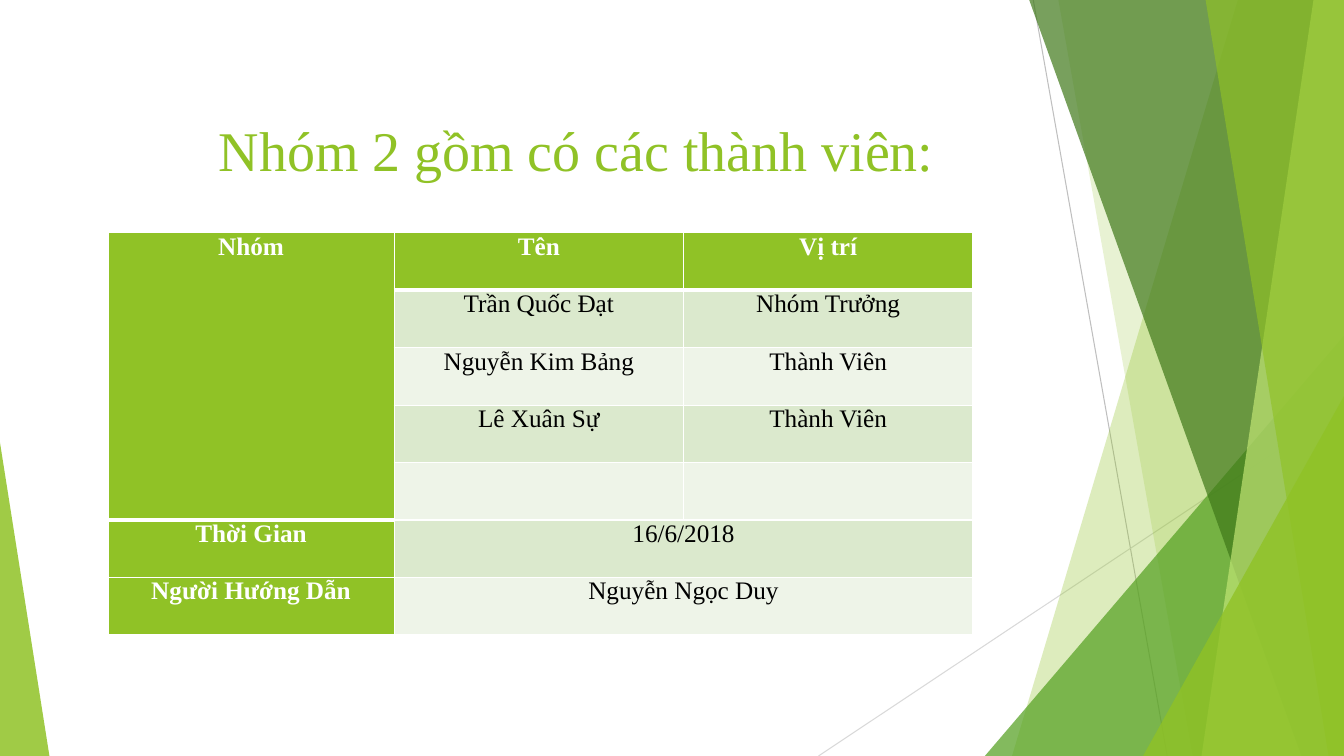
import dataclasses
import typing

import pptx
import pptx.dml.color
import pptx.enum.shapes
import pptx.enum.text
import pptx.oxml.ns
import pptx.util
from lxml import etree

RGB = pptx.dml.color.RGBColor
LIME = RGB(0x90, 0xC2, 0x26)
GREEN = RGB(0x54, 0xA0, 0x21)
FOREST = RGB(0x3F, 0x78, 0x19)
PALE_LIME = RGB(0xC0, 0xE4, 0x74)
ROW_DARK = RGB(0xDB, 0xE9, 0xCD)
ROW_LIGHT = RGB(0xEE, 0xF4, 0xE8)
GREY = RGB(0xBF, 0xBF, 0xBF)
LIGHT_GREY = RGB(0xD9, 0xD9, 0xD9)
WHITE = RGB(0xFF, 0xFF, 0xFF)
BLACK = RGB(0, 0, 0)
FONT = "Times New Roman"
SLIDE_WIDTH = pptx.util.Inches(13.33)
SLIDE_HEIGHT = pptx.util.Inches(7.5)
qn = pptx.oxml.ns.qn


@dataclasses.dataclass
class Ray:
    start: tuple[float, float]
    end: tuple[float, float]
    color: RGB


@dataclasses.dataclass
class Band:
    top_edge: float
    bottom_edge: float
    color: RGB
    opacity: int


@dataclasses.dataclass
class Wedge:
    left: float
    right: float
    top: float
    apex: float
    color: RGB
    opacity: int


@dataclasses.dataclass
class Entry:
    row: int
    column: int
    text: str
    rows: int = 1
    columns: int = 1


RAYS = [
    Ray((76.88, 0), (86.85, 100), GREY),
    Ray((100, 53.73), (60.9, 100), LIGHT_GREY),
]
FACETS = [
    Band(92.1, 75.3, LIME, 30),
    Band(78.75, 88.73, LIME, 20),
    Wedge(73.28, 100, 44.4, 1, GREEN, 72),
    Band(76.58, 96.83, FOREST, 70),
    Band(97.73, 89.4, PALE_LIME, 70),
    Band(89.7, 98.85, LIME, 65),
    Wedge(85.05, 100, 52.4, 1, LIME, 80),
    Wedge(0, 3.68, 58.53, 0, LIME, 85),
]
ENTRIES = [
    Entry(0, 0, "Nhóm", rows=5),
    Entry(0, 1, "Tên"),
    Entry(0, 2, "Vị trí"),
    Entry(1, 1, "Trần Quốc Đạt"),
    Entry(1, 2, "Nhóm Trưởng"),
    Entry(2, 1, "Nguyễn Kim Bảng"),
    Entry(2, 2, "Thành Viên"),
    Entry(3, 1, "Lê Xuân Sự"),
    Entry(3, 2, "Thành Viên"),
    Entry(5, 0, "Thời Gian"),
    Entry(5, 1, "16/6/2018", columns=2),
    Entry(6, 0, "Người Hướng Dẫn"),
    Entry(6, 1, "Nguyễn Ngọc Duy", columns=2),
]
ROW_COUNT = 7
ROW_SHARE = 7.6
COLUMN_SHARES = [21.3, 21.53, 21.53]


def across(percent: float) -> int:
    return round(SLIDE_WIDTH * percent / 100)


def down(percent: float) -> int:
    return round(SLIDE_HEIGHT * percent / 100)


def draw_ray(shapes: typing.Any, ray: Ray) -> None:
    line = shapes.add_connector(
        pptx.enum.shapes.MSO_CONNECTOR.STRAIGHT,
        across(ray.start[0]), down(ray.start[1]),
        across(ray.end[0]), down(ray.end[1]),
    )
    line.line.color.rgb = ray.color
    line.line.width = pptx.util.Pt(0.75)
    etree.SubElement(line.element.spPr, qn("a:effectLst"))


def draw_facet(shapes: typing.Any, facet: Band | Wedge) -> None:
    if isinstance(facet, Band):
        outline = shapes.build_freeform(across(facet.top_edge), 0)
        outline.add_line_segments([
            (across(100), 0),
            (across(100), down(100)),
            (across(facet.bottom_edge), down(100)),
        ])
        pane = outline.convert_to_shape()
    else:
        pane = shapes.add_shape(
            pptx.enum.shapes.MSO_SHAPE.ISOSCELES_TRIANGLE,
            across(facet.left), down(facet.top),
            across(facet.right - facet.left), down(100 - facet.top),
        )
        pane.adjustments[0] = facet.apex
    pane.shadow.inherit = False
    pane.line.fill.background()
    pane.fill.solid()
    pane.fill.fore_color.rgb = facet.color
    tint = pane.element.spPr.find(qn("a:solidFill")).find(qn("a:srgbClr"))
    etree.SubElement(tint, qn("a:alpha"), val=str(facet.opacity * 1000))


def write(paragraph: typing.Any, text: str, size: float, color: RGB, bold: bool) -> None:
    paragraph.alignment = pptx.enum.text.PP_ALIGN.CENTER
    run = paragraph.add_run()
    run.text = text
    run.font.name = FONT
    run.font.size = pptx.util.Pt(size)
    run.font.bold = bold
    run.font.color.rgb = color


def add_border(cell: typing.Any, side: str, points: float) -> None:
    border = etree.SubElement(
        cell._tc.get_or_add_tcPr(), qn(f"a:ln{side}"), w=str(pptx.util.Pt(points))
    )
    paint = etree.SubElement(border, qn("a:solidFill"))
    etree.SubElement(paint, qn("a:srgbClr"), val=str(WHITE))


def is_heading(row: int, column: int) -> bool:
    return row == 0 or column == 0


def style_cell(cell: typing.Any, row: int, column: int) -> None:
    thick_bottom = (row == 0 and column > 0) or (row == 4 and column == 0)
    thick_top = (row == 1 and column > 0) or (row == 5 and column == 0)
    thick_bottom = thick_bottom or (row == 0 and column == 0)
    for side, thick in (("L", False), ("R", False), ("T", thick_top), ("B", thick_bottom)):
        add_border(cell, side, 3 if thick else 1)
    cell.fill.solid()
    banding = ROW_DARK if row % 2 else ROW_LIGHT
    cell.fill.fore_color.rgb = LIME if is_heading(row, column) else banding
    cell.margin_left = cell.margin_right = pptx.util.Inches(0.07)
    cell.margin_top = cell.margin_bottom = 0


def draw_members(shapes: typing.Any) -> None:
    members = shapes.add_table(
        ROW_COUNT, len(COLUMN_SHARES), across(8.03), down(30.8),
        across(sum(COLUMN_SHARES)), down(ROW_SHARE * ROW_COUNT),
    ).table
    members.first_row = members.horz_banding = False
    for column, share in zip(members.columns, COLUMN_SHARES):
        column.width = across(share)
    for row_index, row in enumerate(members.rows):
        row.height = down(ROW_SHARE)
        for column_index, cell in enumerate(row.cells):
            style_cell(cell, row_index, column_index)
    for entry in ENTRIES:
        cell = members.cell(entry.row, entry.column)
        if entry.rows > 1 or entry.columns > 1:
            cell.merge(members.cell(
                entry.row + entry.rows - 1, entry.column + entry.columns - 1
            ))
        heading = is_heading(entry.row, entry.column)
        paragraph = cell.text_frame.paragraphs[0]
        paragraph.space_before = paragraph.space_after = pptx.util.Pt(12)
        write(paragraph, entry.text, 18, WHITE if heading else BLACK, heading)


def main() -> None:
    deck = pptx.Presentation()
    deck.slide_width, deck.slide_height = SLIDE_WIDTH, SLIDE_HEIGHT
    slide = deck.slides.add_slide(deck.slide_layouts[5])
    for ray in RAYS:
        draw_ray(slide.shapes, ray)
    for facet in FACETS:
        draw_facet(slide.shapes, facet)
    heading = slide.shapes.title
    heading.left, heading.top = across(8.03), down(3.87)
    heading.width, heading.height = across(69.68), down(20.93)
    heading.text_frame.vertical_anchor = pptx.enum.text.MSO_ANCHOR.BOTTOM
    write(heading.text_frame.paragraphs[0], "Nhóm 2 gồm có các thành viên:", 40, LIME, False)
    draw_members(slide.shapes)
    deck.save("out.pptx")


if __name__ == "__main__":
    main()
